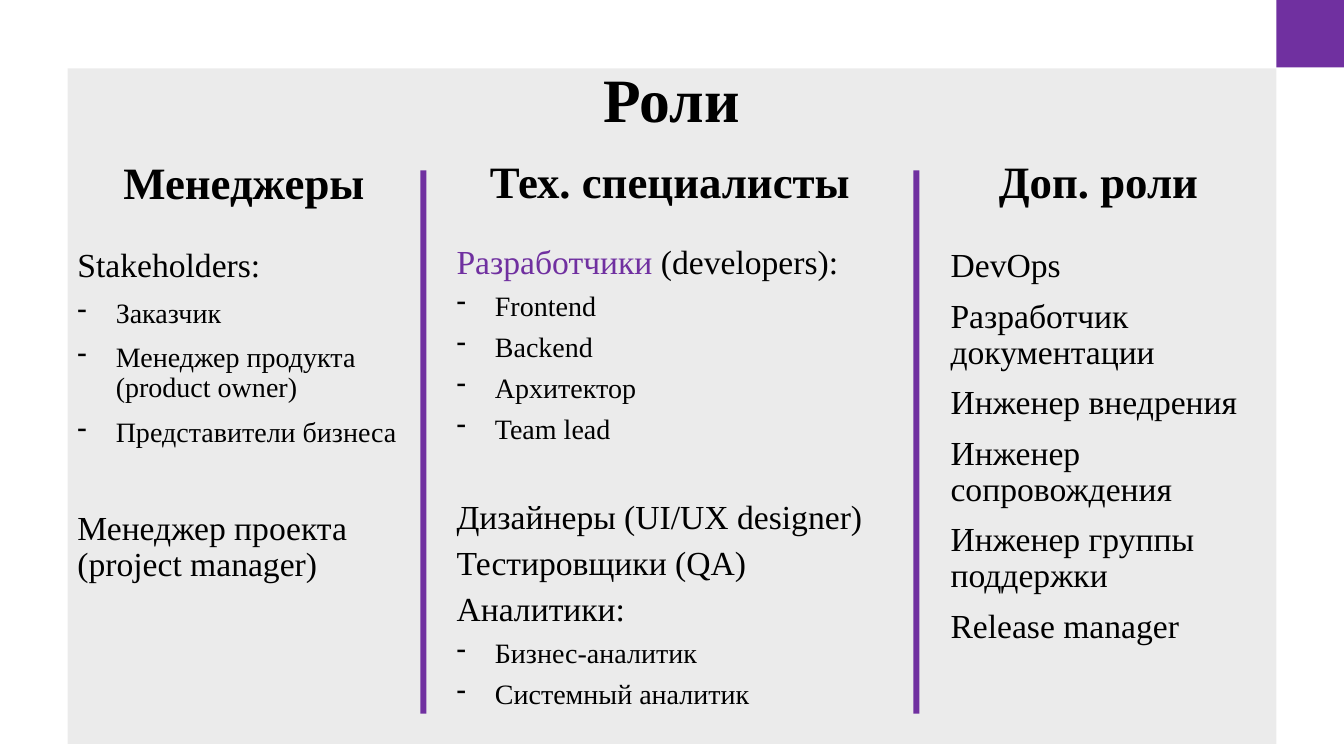
from lxml import etree
from pptx import Presentation
from pptx.dml.color import RGBColor
from pptx.enum.shapes import MSO_SHAPE
from pptx.enum.text import MSO_ANCHOR, PP_ALIGN
from pptx.oxml.ns import qn
from pptx.util import Inches, Pt

RECTANGLE = MSO_SHAPE.RECTANGLE
TOP, BOTTOM = MSO_ANCHOR.TOP, MSO_ANCHOR.BOTTOM
LEFT, CENTER = PP_ALIGN.LEFT, PP_ALIGN.CENTER
PURPLE = RGBColor(0x70, 0x30, 0xA0)
GRAY = RGBColor(0xD9, 0xD9, 0xD9)
BLACK = RGBColor(0, 0, 0)
FONT = "Times New Roman"
INDENT = 0.38
BODY_TOP, BODY_HEIGHT = 2.42, 4.97
HEADING_HEIGHT = 0.64
DIVIDER_LEFTS = (4.17, 9.06)

COLUMNS = [
    {
        "heading": ("Менеджеры", 0.67, 1.55, 3.5),
        "body": (0.67, 3.5),
        "spacing": 0.9,
        "gap": 45,
        "groups": [
            [
                "Stakeholders:",
                "- Заказчик",
                "- Менеджер продукта (product owner)",
                "- Представители бизнеса",
            ],
            ["Менеджер проекта (project manager)"],
        ],
    },
    {
        "heading": ("Тех. специалисты", 4.29, 1.54, 4.71),
        "body": (4.43, 4.42),
        "spacing": 0.8,
        "gap": 42,
        "accent": "Разработчики",
        "groups": [
            [
                "Разработчики (developers):",
                "- Frontend",
                "- Backend",
                "- Архитектор",
                "- Team lead",
            ],
            [
                "Дизайнеры (UI/UX designer)",
                "Тестировщики (QA)",
                "Аналитики:",
                "- Бизнес-аналитик",
                "- Системный аналитик",
            ],
        ],
    },
    {
        "heading": ("Доп. роли", 9.12, 1.54, 3.55),
        "body": (9.33, 3.27),
        "spacing": 0.9,
        "gap": 45,
        "groups": [
            [
                "DevOps",
                "Разработчик документации",
                "Инженер внедрения",
                "Инженер сопровождения",
                "Инженер группы поддержки",
                "Release manager",
            ],
        ],
    },
]


def apply(target, values):
    for attribute, value in values.items():
        setattr(target, attribute, value)


def add_block(slide, box, color, opacity=100):
    block = slide.shapes.add_shape(RECTANGLE, *map(Inches, box))
    block.shadow.inherit = False
    block.fill.solid()
    block.fill.fore_color.rgb = color
    block.line.fill.background()
    if opacity < 100:
        tint = block.fill._xPr.find(f".//{qn('a:srgbClr')}")
        etree.SubElement(tint, qn("a:alpha"), val=str(opacity * 1000))


def add_frame(slide, box, anchor=TOP):
    frame = slide.shapes.add_textbox(*map(Inches, box)).text_frame
    apply(frame, {"word_wrap": True, "vertical_anchor": anchor})
    return frame


def add_run(paragraph, text, size, color=BLACK, bold=False):
    run = paragraph.add_run()
    run.text = text
    apply(run.font, {"name": FONT, "size": Pt(size), "bold": bold})
    run.font.color.rgb = color


def add_heading(slide, box, text, size, anchor=TOP):
    heading = add_frame(slide, box, anchor).paragraphs[0]
    apply(heading, {"alignment": CENTER, "line_spacing": 0.9})
    add_run(heading, text, size, bold=True)


def add_dash(paragraph):
    properties = paragraph._p.get_or_add_pPr()
    properties.set("marL", str(Inches(INDENT)))
    properties.set("indent", str(-Inches(INDENT)))
    etree.SubElement(properties, qn("a:buFontTx"))
    etree.SubElement(properties, qn("a:buChar"), char="-")


def add_role(paragraph, text, accent):
    if text.startswith("- "):
        add_dash(paragraph)
        add_run(paragraph, text[2:], 20)
    elif accent and text.startswith(accent):
        add_run(paragraph, accent, 24, PURPLE)
        add_run(paragraph, text[len(accent):], 24)
    else:
        add_run(paragraph, text, 24)


def add_column(slide, column):
    title, left, top, width = column["heading"]
    add_heading(slide, (left, top, width, HEADING_HEIGHT), title, 32)
    body_left, body_width = column["body"]
    frame = add_frame(slide, (body_left, BODY_TOP, body_width, BODY_HEIGHT))
    for group_index, group in enumerate(column["groups"]):
        for role_index, role in enumerate(group):
            if group_index == role_index == 0:
                paragraph, before = frame.paragraphs[0], 0
            else:
                paragraph = frame.add_paragraph()
                before = 10 if role_index else column["gap"]
            add_role(paragraph, role, column.get("accent"))
            apply(paragraph, {
                "alignment": LEFT,
                "line_spacing": column["spacing"],
                "space_before": Pt(before),
            })


def build_roles_slide(slide):
    add_block(slide, (0.67, 0.68, 11.99, 6.7), GRAY, 50)
    add_block(slide, (12.66, 0, 0.67, 0.67), PURPLE)
    add_heading(slide, (1.8, 0.02, 9.72, 1.38), "Роли", 44, BOTTOM)
    for left in DIVIDER_LEFTS:
        add_block(slide, (left, 1.69, 0.06, 5.39), PURPLE)
    for column in COLUMNS:
        add_column(slide, column)


def main():
    presentation = Presentation()
    apply(presentation, {"slide_width": Inches(13.33), "slide_height": Inches(7.5)})
    build_roles_slide(presentation.slides.add_slide(presentation.slide_layouts[6]))
    presentation.save("out.pptx")


if __name__ == "__main__":
    main()
